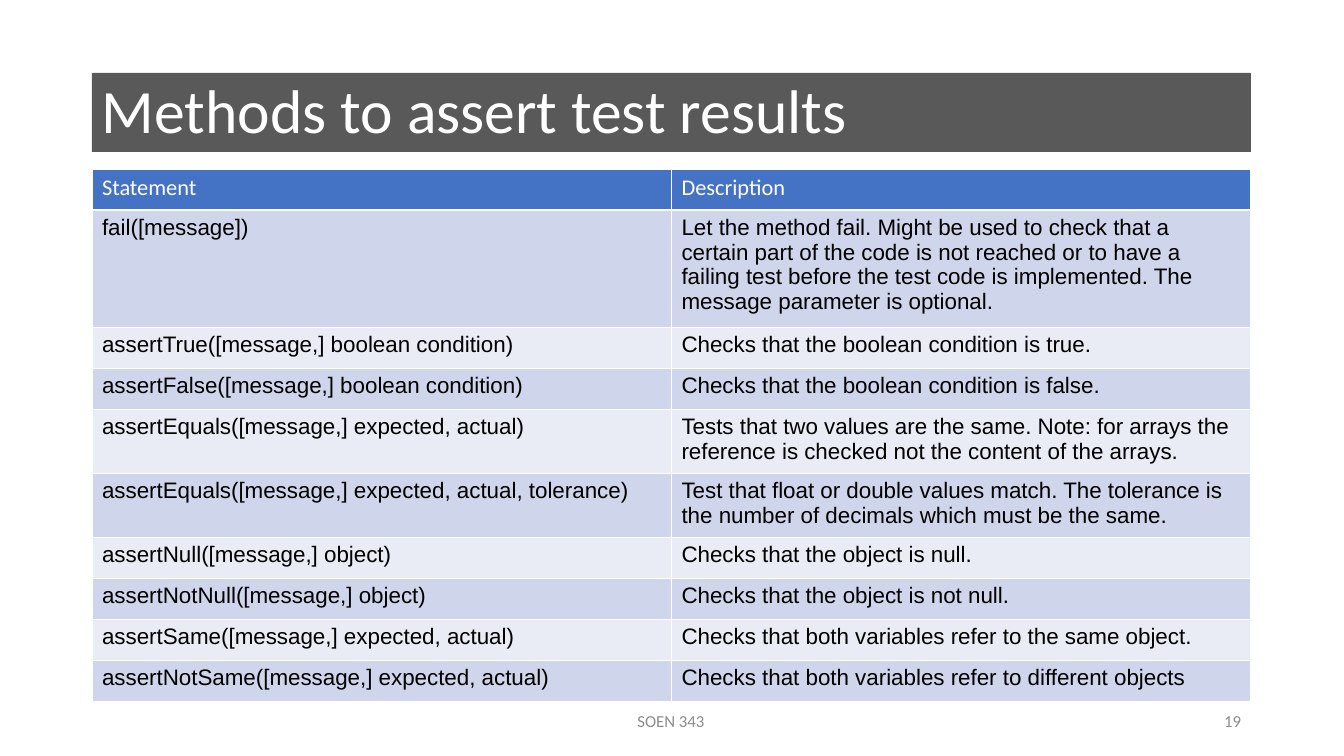
from lxml import etree
from pptx import Presentation
from pptx.dml.color import RGBColor
from pptx.enum.shapes import MSO_SHAPE
from pptx.enum.text import MSO_ANCHOR, PP_ALIGN
from pptx.oxml.ns import qn
from pptx.util import Pt

PX = 914400 / 100.8
RECT = MSO_SHAPE.RECTANGLE
MIDDLE = MSO_ANCHOR.MIDDLE
LEFT, CENTER, RIGHT = PP_ALIGN.LEFT, PP_ALIGN.CENTER, PP_ALIGN.RIGHT
COLORS = {
    "bar": "000000",
    "header": "4472C4",
    "band_dark": "CFD5EA",
    "band_light": "E9EBF5",
    "light_text": "FFFFFF",
    "dark_text": "000000",
    "footer": "8C8C8C",
}
ROW_H = 41
ROWS = [
    ("Statement", "Description"),
    ("fail([message])",
     "Let the method fail. Might be used to check that a certain part of the code "
     "is not reached or to have a failing test before the test code is implemented. "
     "The message parameter is optional."),
    ("assertTrue([message,] boolean condition)",
     "Checks that the boolean condition is true."),
    ("assertFalse([message,] boolean condition)",
     "Checks that the boolean condition is false."),
    ("assertEquals([message,] expected, actual)",
     "Tests that two values are the same. Note: for arrays the reference is checked "
     "not the content of the arrays."),
    ("assertEquals([message,] expected, actual, tolerance)",
     "Test that float or double values match. The tolerance is the number of "
     "decimals which must be the same."),
    ("assertNull([message,] object)", "Checks that the object is null."),
    ("assertNotNull([message,] object)", "Checks that the object is not null."),
    ("assertSame([message,] expected, actual)",
     "Checks that both variables refer to the same object."),
    ("assertNotSame([message,] expected, actual)",
     "Checks that both variables refer to different objects"),
]


def px(n):
    """Turn px into EMU."""
    return round(n * PX)


def rgb(name):
    """Look up a named colour."""
    return RGBColor.from_string(COLORS[name])


def add_run(p, text, size, font, color):
    """Add one formatted run to a paragraph."""
    r = p.add_run()
    r.text = text
    r.font.size = Pt(size)
    r.font.name = font
    r.font.bold = False
    r.font.color.rgb = rgb(color)


def add_label(s, box, text, size, color, align):
    """Place one vertically centred line of text in a box."""
    tf = s.shapes.add_textbox(*map(px, box)).text_frame
    tf.word_wrap = True
    tf.vertical_anchor = MIDDLE
    p = tf.paragraphs[0]
    p.alignment = align
    add_run(p, text, size, "Calibri", color)
    return p


def add_title(s, box, text):
    """Draw the translucent title bar with its text."""
    x, y, w, h = box
    bar = s.shapes.add_shape(RECT, *map(px, box))
    bar.shadow.inherit = False
    bar.line.fill.background()
    bar.fill.solid()
    bar.fill.fore_color.rgb = rgb("bar")
    fill = bar.fill._xPr.find(qn("a:solidFill"))
    etree.SubElement(fill[0], qn("a:alpha"), val="65000")
    p = add_label(s, (x, y - 32, w, h + 67), text, 44, "light_text", LEFT)
    p.line_spacing = 0.9


def add_methods_table(s, box, rows):
    """Draw the banded table of assert methods."""
    x, y, w, row_h = box
    frame = s.shapes.add_table(len(rows), len(rows[0]), px(x), px(y),
                               px(w), px(row_h * len(rows)))
    table = frame.table
    for i, row in enumerate(rows):
        table.rows[i].height = px(row_h)
        if i == 0:
            fill, font, color = "header", "Calibri", "light_text"
        else:
            fill = "band_dark" if i % 2 else "band_light"
            font, color = "Arial", "dark_text"
        for j, text in enumerate(row):
            cell = table.cell(i, j)
            cell.fill.solid()
            cell.fill.fore_color.rgb = rgb(fill)
            add_run(cell.text_frame.paragraphs[0], text, 16, font, color)


def add_footer(s, box, course, number):
    """Place the centred course name and the page number at the right."""
    x, y, w, h = box
    add_label(s, (x + (w - 454) // 2, y, 454, h), course, 12, "footer", CENTER)
    add_label(s, (x + w - 302, y, 302, h), number, 12, "footer", RIGHT)


def main():
    """Build and save the slide."""
    prs = Presentation()
    prs.slide_width, prs.slide_height = px(1344), px(756)
    s = prs.slides.add_slide(prs.slide_layouts[6])
    left, width = 92, 1159
    add_title(s, (left, 73, width, 79), "Methods to assert test results")
    add_methods_table(s, (left, 169, width, ROW_H), ROWS)
    add_footer(s, (left, 701, width, 40), "SOEN 343", "19")
    prs.save("out.pptx")


if __name__ == "__main__":
    main()
